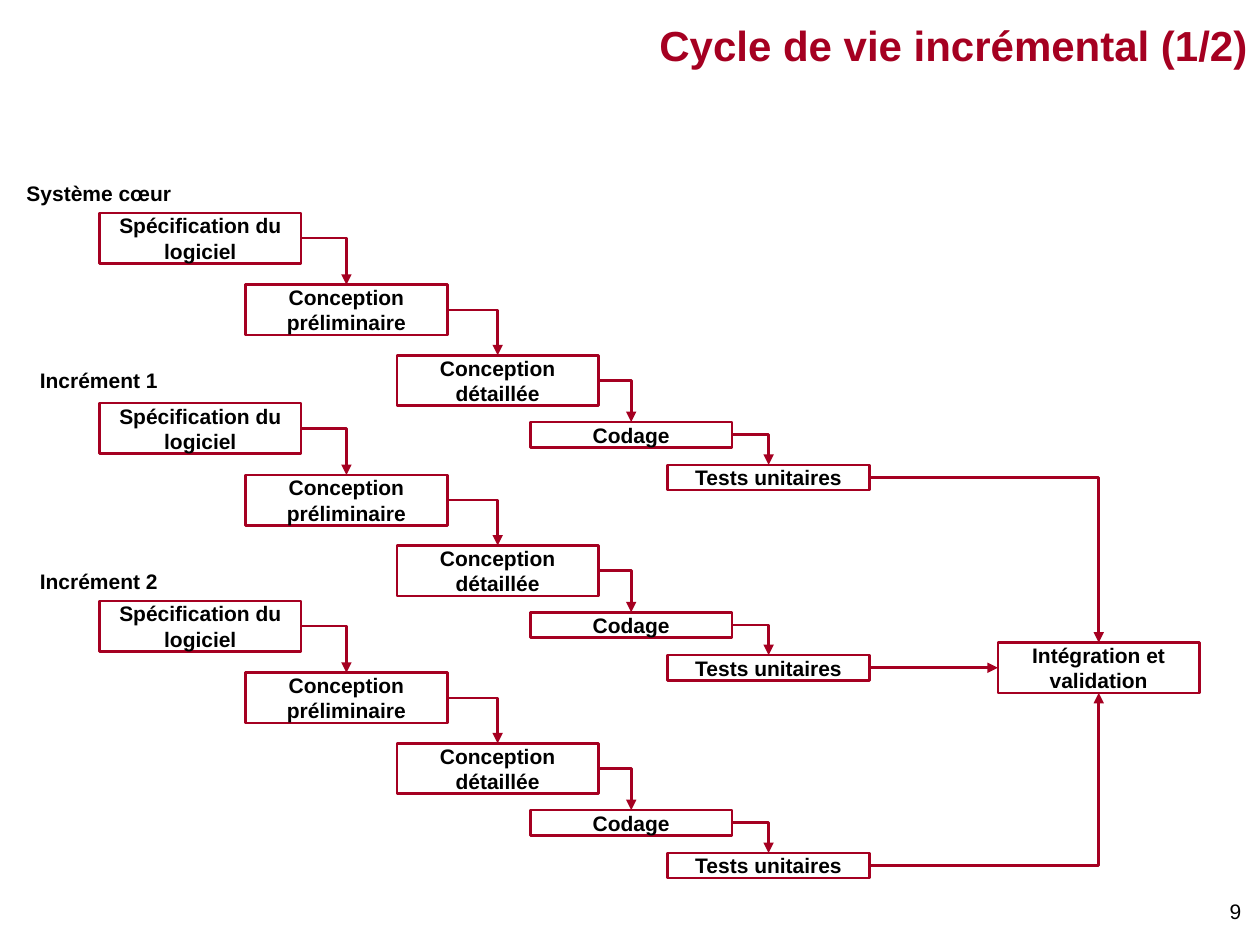
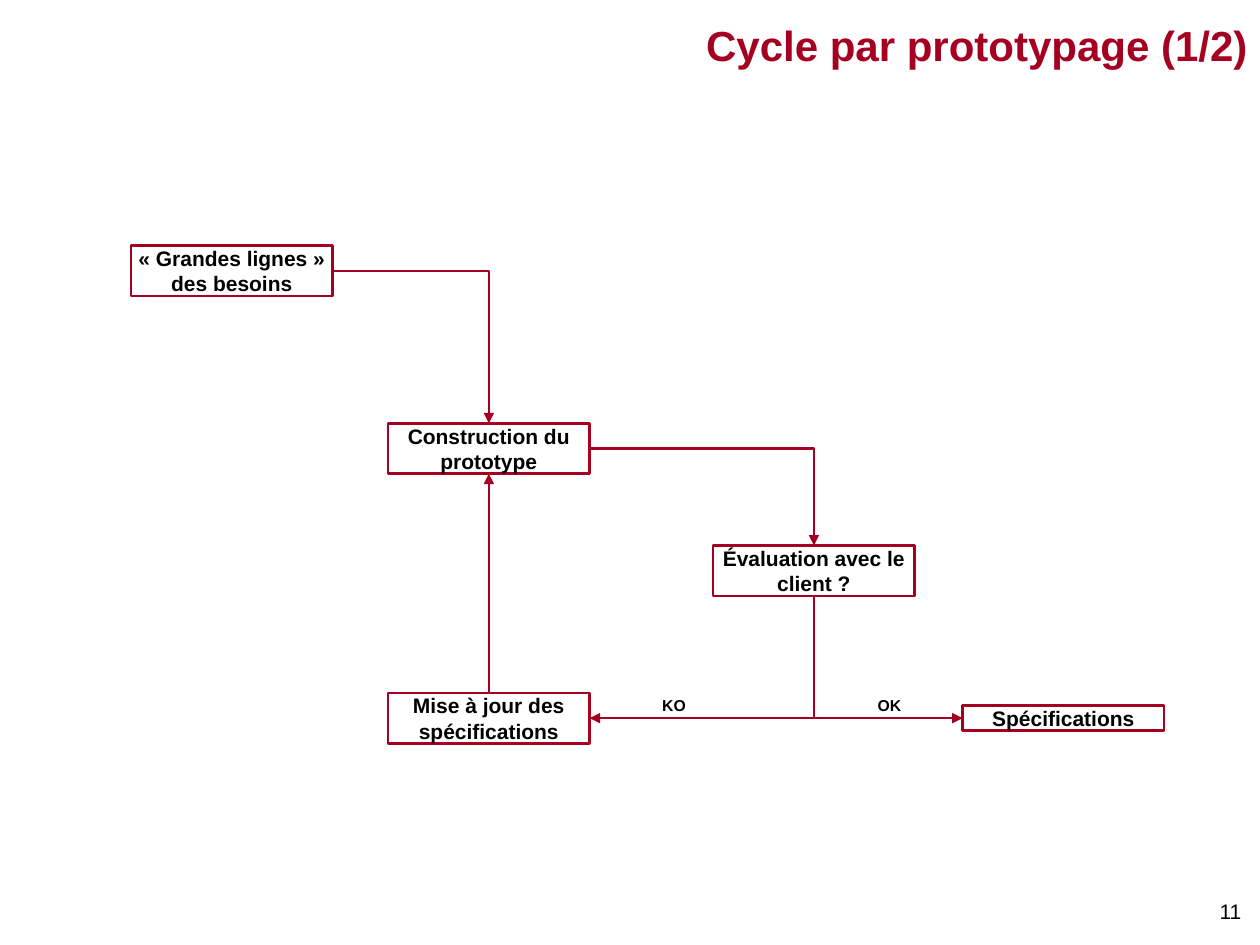
from dataclasses import dataclass

from lxml.etree import SubElement
from pptx import Presentation
from pptx.dml.color import RGBColor
from pptx.enum.shapes import MSO_CONNECTOR, MSO_SHAPE
from pptx.enum.text import MSO_ANCHOR, MSO_AUTO_SIZE, PP_ALIGN
from pptx.oxml.ns import qn
from pptx.util import Pt

PX = 9144  # EMU per px, 100 px to the inch
SLIDE_SIZE = (1000, 750)
TOP, LEFT, BOTTOM, RIGHT = range(4)  # connection sites of a rectangle


@dataclass(frozen=True)
class Theme:
    accent: RGBColor = RGBColor(0xA5, 0x00, 0x21)
    ink: RGBColor = RGBColor(0x00, 0x00, 0x00)
    font: str = "Arial"
    title_size: int = 24
    body_size: int = 12
    branch_size: int = 9
    line_width: float = 1.5


THEME = Theme()
TEXT_INSETS = (10, 5, 10, 5)
LABEL_INSETS = (10, 5, 18, 5)
NO_INSETS = (0, 0, 0, 0)
STEP_WIDTH = 160
ONE_LINE, TWO_LINES = 20, 40

# Text, left, drop below the first step, height
CYCLE_STEPS = [
    ("Spécification du logiciel", 79, 0, TWO_LINES),
    ("Conception préliminaire", 195, 57, TWO_LINES),
    ("Conception détaillée", 315, 113, TWO_LINES),
    ("Codage", 421, 166, ONE_LINE),
    ("Tests unitaires", 530, 200, ONE_LINE),
]
# Label, top of the label, top of the first step, where its tests join integration
INCREMENTS = [
    ("Système cœur", 138, 169, TOP),
    ("Incrément 1", 287, 320, LEFT),
    ("Incrément 2", 446, 477, BOTTOM),
]


def write_text(shape, text, *, size=THEME.body_size, color=THEME.ink, bold=True,
               align=PP_ALIGN.CENTER, anchor=MSO_ANCHOR.MIDDLE, insets=NO_INSETS,
               space_before=0.0, grow=True):
    frame = shape.text_frame
    frame.word_wrap = True
    frame.auto_size = MSO_AUTO_SIZE.SHAPE_TO_FIT_TEXT if grow else MSO_AUTO_SIZE.NONE
    frame.vertical_anchor = anchor
    (frame.margin_left, frame.margin_top,
     frame.margin_right, frame.margin_bottom) = (inset * PX for inset in insets)
    paragraph = frame.paragraphs[0]
    paragraph.alignment = align
    paragraph.space_before = Pt(space_before)
    run = paragraph.add_run()
    run.text = text
    run.font.name = THEME.font
    run.font.size = Pt(size)
    run.font.bold = bold
    run.font.color.rgb = color


class Deck:
    def __init__(self):
        self.presentation = Presentation()
        self.presentation.slide_width, self.presentation.slide_height = (
            side * PX for side in SLIDE_SIZE)
        self.shapes = None

    def new_slide(self, title, number):
        layout = self.presentation.slide_layouts[6]
        self.shapes = self.presentation.slides.add_slide(layout).shapes
        self.text(title, 235, 0, 765, 71, size=THEME.title_size, color=THEME.accent,
                  align=PP_ALIGN.RIGHT, insets=TEXT_INSETS, grow=False)
        self.text(number, 899, 708, 96, 30, bold=False, align=PP_ALIGN.RIGHT,
                  anchor=MSO_ANCHOR.TOP, insets=TEXT_INSETS)

    def text(self, text, left, top, width, height, **text_format):
        area = self.shapes.add_textbox(left * PX, top * PX, width * PX, height * PX)
        write_text(area, text, **text_format)

    def step(self, text, left, top, height=TWO_LINES):
        box = self.shapes.add_shape(MSO_SHAPE.RECTANGLE, left * PX, top * PX,
                                    STEP_WIDTH * PX, height * PX)
        box.shadow.inherit = False
        box.fill.background()
        box.line.color.rgb = THEME.accent
        box.line.width = Pt(THEME.line_width)
        write_text(box, text, space_before=7.5)
        return box

    def arrow(self, source, source_site, target, target_site, bent=True, reverse=False):
        """Join two steps; a bent arrow leaves sideways, and reverse points it at its source."""
        kind = MSO_CONNECTOR.ELBOW if bent else MSO_CONNECTOR.STRAIGHT
        link = self.shapes.add_connector(kind, 0, 0, 0, 0)
        link.begin_connect(source, source_site)
        link.end_connect(target, target_site)
        link.line.color.rgb = THEME.accent
        link.line.width = Pt(THEME.line_width)
        properties = link._element.spPr
        if bent:
            properties.find(qn("a:prstGeom")).set("prst", "bentConnector2")
        end = "a:headEnd" if reverse else "a:tailEnd"
        SubElement(properties.find(qn("a:ln")), qn(end), type="triangle")
        SubElement(properties, qn("a:effectLst"))

    def save(self):
        self.presentation.save("out.pptx")


def build_incremental_cycle(deck):
    deck.new_slide("Cycle de vie incrémental (1/2)", "9")
    integration = deck.step("Intégration et validation", 792, 510)
    for label, label_top, cycle_top, entry in INCREMENTS:
        deck.text(label, 0, label_top, 165, 30, anchor=MSO_ANCHOR.TOP,
                  insets=LABEL_INSETS, space_before=7.5)
        steps = [deck.step(text, left, cycle_top + drop, height)
                 for text, left, drop, height in CYCLE_STEPS]
        for step, following in zip(steps, steps[1:]):
            deck.arrow(step, RIGHT, following, TOP)
        deck.arrow(steps[-1], RIGHT, integration, entry, bent=entry != LEFT)


def build_prototyping_cycle(deck):
    deck.new_slide("Cycle par prototypage (1/2)", "11")
    needs = deck.step("« Grandes lignes » des besoins", 104, 195)
    prototype = deck.step("Construction du prototype", 308, 336)
    evaluation = deck.step("Évaluation avec le client ?", 566, 433)
    update = deck.step("Mise à jour des spécifications", 308, 550)
    specifications = deck.step("Spécifications", 764, 560, ONE_LINE)

    deck.arrow(needs, RIGHT, prototype, TOP)
    deck.arrow(prototype, RIGHT, evaluation, TOP)
    deck.arrow(specifications, LEFT, evaluation, BOTTOM, reverse=True)
    deck.arrow(update, RIGHT, evaluation, BOTTOM, reverse=True)
    deck.arrow(update, TOP, prototype, BOTTOM, bent=False)
    for verdict, left in (("KO", 502), ("OK", 673)):
        deck.text(verdict, left, 552, 66, 15, size=THEME.branch_size, space_before=5.6)


def main():
    deck = Deck()
    build_incremental_cycle(deck)
    build_prototyping_cycle(deck)
    deck.save()


if __name__ == "__main__":
    main()
